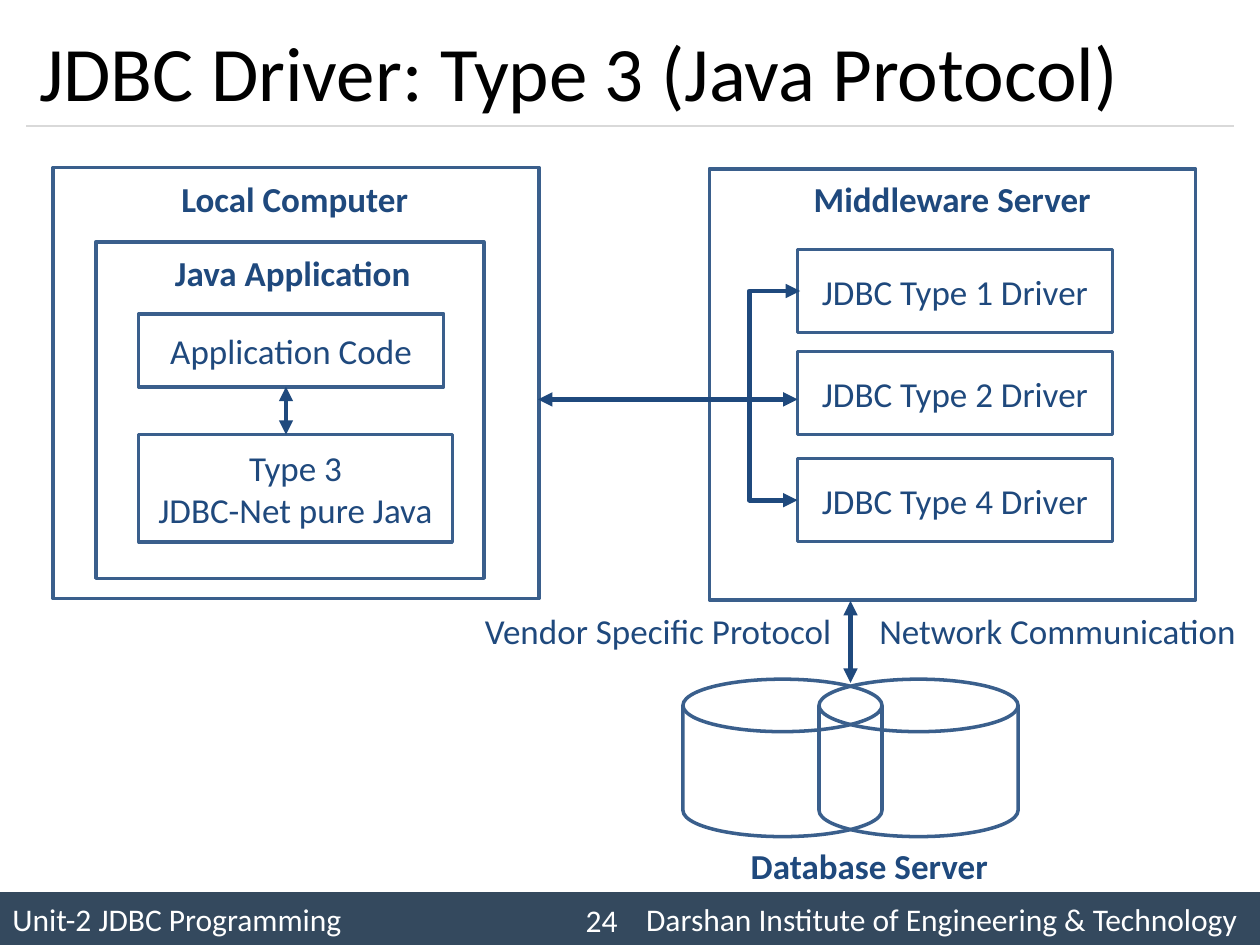
from pptx import Presentation
from pptx.util import Inches, Pt
from pptx.dml.color import RGBColor
from pptx.enum.shapes import MSO_SHAPE as SHAPE, MSO_CONNECTOR as LINK
from pptx.enum.text import PP_ALIGN as ALIGN, MSO_ANCHOR as ANCHOR
from pptx.oxml.ns import qn
from lxml.etree import SubElement as sub

FONT = "Calibri"
NAVY, EDGE, WHITE = "1F497D", "3A5F8C", "FFFFFF"
BAR, RULE = "34495E", "D9D9D9"

# Content: text, left, top, width, height
title = "JDBC Driver: Type 3 (Java Protocol)"
footer = "Unit-2 JDBC Programming\tDarshan Institute of Engineering & Technology"
page = "24"
boxes = [
    ("", 0.42, 1.33, 3.86, 3.42),
    ("", 0.76, 1.92, 3.08, 2.67),
    ("", 5.63, 1.34, 3.86, 3.42),
    ("Application Code", 1.1, 2.49, 2.42, 0.58),
    ("Type 3\nJDBC-Net pure Java", 1.1, 3.45, 2.49, 0.85),
]
drivers = [(1, 1.98), (2, 2.79), (4, 3.64)]  # type, top
disks = [5.42, 6.5]  # left edges
labels = [  # text, left, top, width, bold
    ("Local Computer", 1.34, 1.36, 2.05, True),
    ("Java Application", 1.29, 1.95, 2.15, True),
    ("Middleware Server", 6.36, 1.36, 2.6, True),
    ("Database Server", 5.86, 6.65, 2.1, True),
    ("Vendor Specific Protocol", 3.75, 4.79, 3.08, False),
    ("Network Communication", 6.88, 4.79, 3.12, False),
]
arrows = [  # from x, y, to x, y
    (2.27, 3.07, 2.27, 3.45),
    (6.75, 4.77, 6.75, 5.42),
    (4.27, 3.17, 6.33, 3.17),
]
bracket = (6.35, 2.31, 6.33, 3.97)
spine = 5.95  # x of the bracket's upright part


def color(code):
    return RGBColor.from_string(code)


def write(shape, text, size=20, ink=NAVY, align=ALIGN.LEFT,
          anchor=ANCHOR.MIDDLE, bold=False):
    frame = shape.text_frame
    frame.text = text
    frame.word_wrap = True
    frame.vertical_anchor = anchor
    for para in frame.paragraphs:
        para.alignment = align
        for run in para.runs:
            font = run.font
            font.name, font.size, font.bold = FONT, Pt(size), bold
            font.color.rgb = color(ink)


def draw(kind, *at):
    shape = slide.shapes.add_shape(kind, *map(Inches, at))
    shape.shadow.inherit = False
    shape.fill.background()
    shape.line.color.rgb = color(EDGE)
    shape.line.width = Pt(2)
    return shape


def box(text, *at):
    shape = draw(SHAPE.RECTANGLE, *at)
    if text:
        write(shape, text, align=ALIGN.CENTER)


def link(ends, kind=LINK.STRAIGHT, ink=NAVY, width=2.75, heads=True):
    line = slide.shapes.add_connector(kind, *map(Inches, ends))
    line.line.color.rgb = color(ink)
    line.line.width = Pt(width)
    if heads:
        for tag in ("a:headEnd", "a:tailEnd"):
            sub(line.line._get_or_add_ln(), qn(tag), type="triangle")
    sub(line._element.spPr, qn("a:effectLst"))
    return line


def label(text, *at, **style):
    write(slide.shapes.add_textbox(*map(Inches, at)), text, **style)


deck = Presentation()
deck.slide_width, deck.slide_height = Inches(10), Inches(7.5)
slide = deck.slides.add_slide(deck.slide_layouts[5])

# Title and rule
head = slide.shapes.title
head.left, head.top, head.width, head.height = map(
    Inches, (0.21, 0.12, 9.58, 0.88))
write(head, title, size=44, ink="000000")
link((0.21, 1, 9.79, 1), ink=RULE, width=0.75, heads=False)

# Footer bar, with a tab stop for the institute
bar = draw(SHAPE.RECTANGLE, 0, 7.08, 10, 0.42)
bar.fill.solid()
bar.fill.fore_color.rgb = color(BAR)
bar.line.fill.background()
write(bar, footer, size=18, ink=WHITE)
props = bar.text_frame.paragraphs[0]._p.get_or_add_pPr()
sub(sub(props, qn("a:tabLst")), qn("a:tab"), pos=str(Inches(5.03)), algn="l")
label(page, 4.17, 7.1, 0.83, 0.4, size=18, ink=WHITE, align=ALIGN.RIGHT)

# Computers, drivers and database
for item in boxes:
    box(*item)
for number, top in drivers:
    box(f"JDBC Type {number} Driver", 6.33, top, 2.5, 0.66)
for left in disks:
    draw(SHAPE.FLOWCHART_MAGNETIC_DISK, left, 5.39, 1.58, 1.25)
for text, left, top, width, bold in labels:
    label(text, left, top, width, 0.44, bold=bold, anchor=ANCHOR.TOP)

# Arrows
for ends in arrows:
    link(ends)
elbow = link(bracket, LINK.ELBOW)
ratio = (bracket[0] - spine) / (bracket[0] - bracket[2])
guides = elbow._element.spPr.find(qn("a:prstGeom")).find(qn("a:avLst"))
sub(guides, qn("a:gd"), name="adj1", fmla=f"val {round(ratio * 100000)}")

deck.save("out.pptx")
